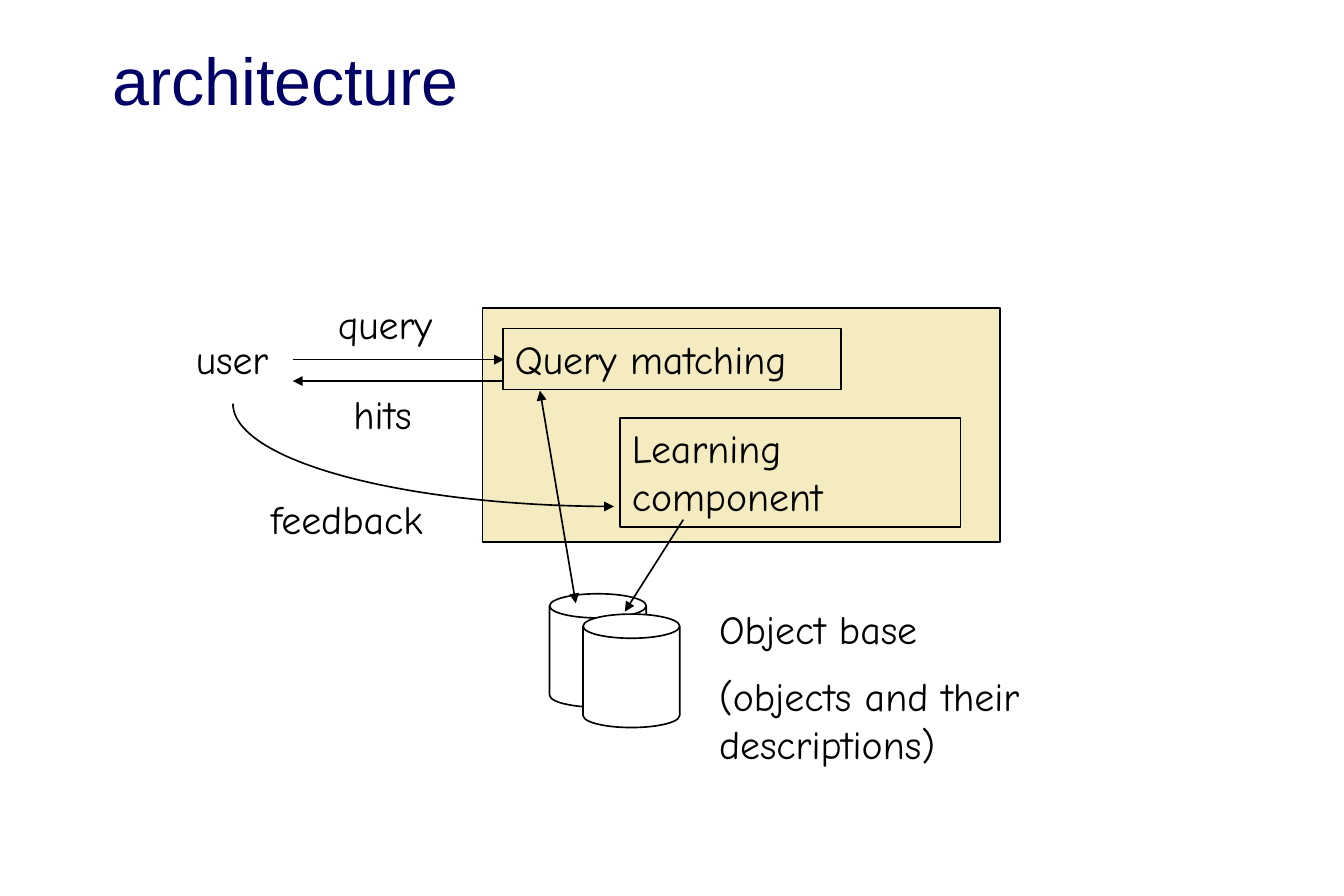
"""Build the architecture slide: user, query matching, learning component and object base."""
import math

import pptx
import pptx.dml.color
import pptx.enum.shapes
import pptx.enum.text
import pptx.oxml.ns
import pptx.util
from lxml import etree

Inches = pptx.util.Inches
Pt = pptx.util.Pt
SHAPES = pptx.enum.shapes.MSO_SHAPE

COLORS = {"title": "000066", "ink": "000000", "system": "F5EBC1", "store": "FFFFFF"}
TITLE = "architecture"
LABELS = [
    (["user"], (1.54, 2.75, 0.92, 0.5)),
    (["query"], (2.73, 2.46, 1.07, 0.5)),
    (["hits"], (2.86, 3.21, 0.92, 0.5)),
    (["feedback"], (2.17, 4.09, 1.73, 0.5)),
    (["Object base", "(objects and their descriptions)"], (5.92, 5.01, 3.39, 1.51)),
]
SYSTEM_BOX = (4.04, 2.58, 4.33, 1.96)
COMPONENTS = [
    (["Query matching"], (4.21, 2.75, 2.83, 0.51)),
    (["Learning component"], (5.19, 3.5, 2.85, 0.91)),
]
STORES = [(4.6, 4.97, 0.81, 0.95), (4.88, 5.14, 0.81, 0.95)]
ARROWS = [
    ((2.45, 3.01), (4.22, 3.01), ["tailEnd"]),
    ((4.21, 3.19), (2.45, 3.19), ["tailEnd"]),
    ((4.52, 3.27), (4.82, 5.05), ["headEnd", "tailEnd"]),
    ((5.72, 4.35), (5.23, 5.12), ["tailEnd"]),
]
FEEDBACK_CENTER = (5.14, 3.38)
FEEDBACK_RADII = (3.19, 0.86)
FEEDBACK_STEPS = 60


def color(name):
    return pptx.dml.color.RGBColor.from_string(COLORS[name])


def style_line(line):
    line.color.rgb = color("ink")
    line.width = Pt(1)


def add_arrowheads(shape, ends):
    outline = shape.line._get_or_add_ln()
    for end in ends:
        etree.SubElement(outline, pptx.oxml.ns.qn("a:" + end), type="triangle")


def write_text(shape, texts):
    frame = shape.text_frame
    frame.word_wrap = True
    frame.vertical_anchor = pptx.enum.text.MSO_ANCHOR.TOP
    for index, text in enumerate(texts):
        paragraph = frame.add_paragraph() if index else frame.paragraphs[0]
        paragraph.alignment = pptx.enum.text.PP_ALIGN.LEFT
        if index:
            paragraph.space_before = Pt(12)
        run = paragraph.add_run()
        run.text = text
        run.font.name = "Comic Neue"
        run.font.size = Pt(24)
        run.font.color.rgb = color("ink")


def add_box(slide, kind, box, fill=None):
    shape = slide.shapes.add_shape(kind, *map(Inches, box))
    shape.shadow.inherit = False
    if fill:
        shape.fill.solid()
        shape.fill.fore_color.rgb = color(fill)
    else:
        shape.fill.background()
    style_line(shape.line)
    return shape


def add_title(slide):
    title = slide.shapes.title
    title.left, title.top, title.width, title.height = map(Inches, (0.84, 0.33, 9.56, 0.67))
    title.text_frame.vertical_anchor = pptx.enum.text.MSO_ANCHOR.MIDDLE
    paragraph = title.text_frame.paragraphs[0]
    paragraph.alignment = pptx.enum.text.PP_ALIGN.LEFT
    run = paragraph.add_run()
    run.text = TITLE
    run.font.name = "Arial"
    run.font.size = Pt(40)
    run.font.color.rgb = color("title")


def add_arrow(slide, start, end, ends):
    connector = slide.shapes.add_connector(
        pptx.enum.shapes.MSO_CONNECTOR.STRAIGHT, *map(Inches, start + end))
    style_line(connector.line)
    add_arrowheads(connector, ends)
    etree.SubElement(connector._element.spPr, pptx.oxml.ns.qn("a:effectLst"))


def add_feedback_curve(slide):
    points = []
    for step in range(FEEDBACK_STEPS + 1):
        angle = math.pi / 2 * (1 + step / FEEDBACK_STEPS)
        points.append((Inches(FEEDBACK_CENTER[0] + FEEDBACK_RADII[0] * math.cos(angle)),
                       Inches(FEEDBACK_CENTER[1] + FEEDBACK_RADII[1] * math.sin(angle))))
    builder = slide.shapes.build_freeform(*points[0])
    builder.add_line_segments(points[1:], close=False)
    curve = builder.convert_to_shape()
    curve.shadow.inherit = False
    curve.fill.background()
    style_line(curve.line)
    add_arrowheads(curve, ["headEnd"])


def main():
    presentation = pptx.Presentation()
    presentation.slide_width = Inches(11.25)
    presentation.slide_height = Inches(7.5)
    slide = presentation.slides.add_slide(presentation.slide_layouts[5])
    add_title(slide)
    add_box(slide, SHAPES.RECTANGLE, SYSTEM_BOX, "system")
    for texts, box in COMPONENTS:
        write_text(add_box(slide, SHAPES.RECTANGLE, box), texts)
    for box in STORES:
        add_box(slide, SHAPES.CAN, box, "store")
    for texts, box in LABELS:
        write_text(slide.shapes.add_textbox(*map(Inches, box)), texts)
    for start, end, ends in ARROWS:
        add_arrow(slide, start, end, ends)
    add_feedback_curve(slide)
    presentation.save("out.pptx")


if __name__ == "__main__":
    main()
